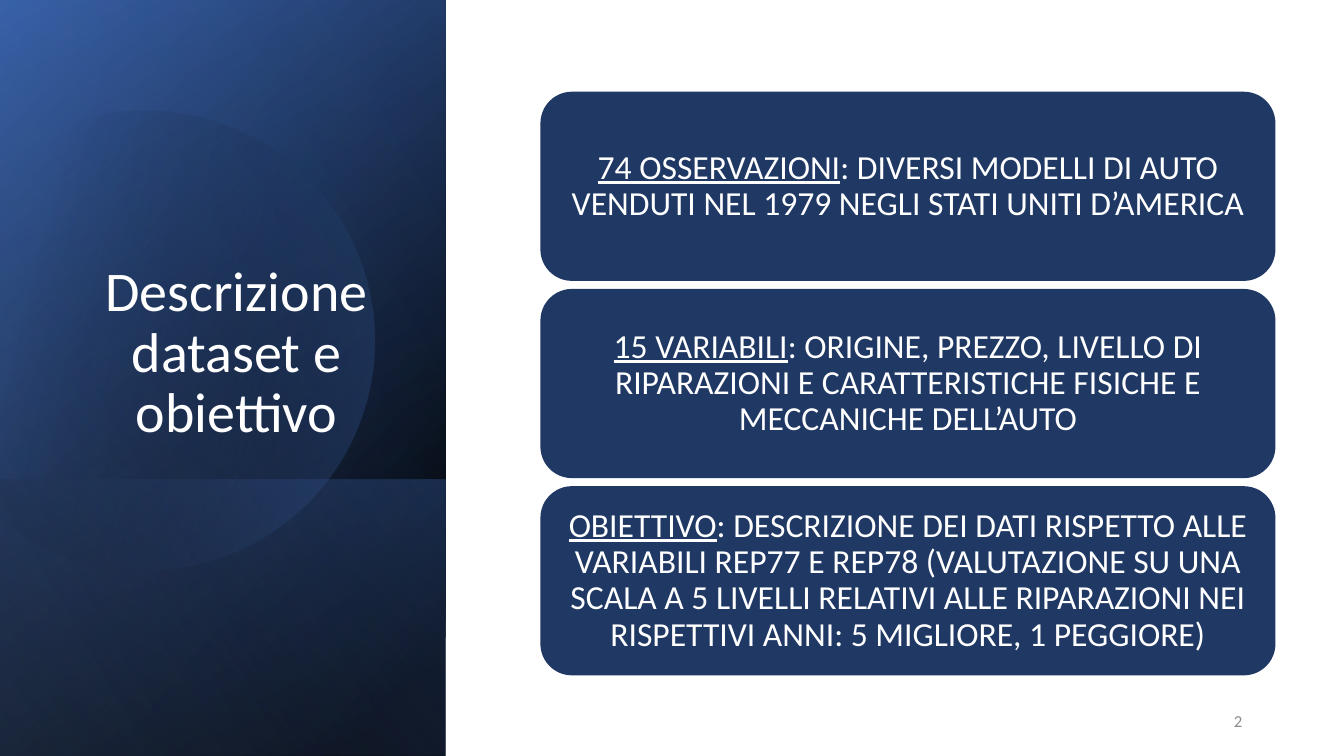
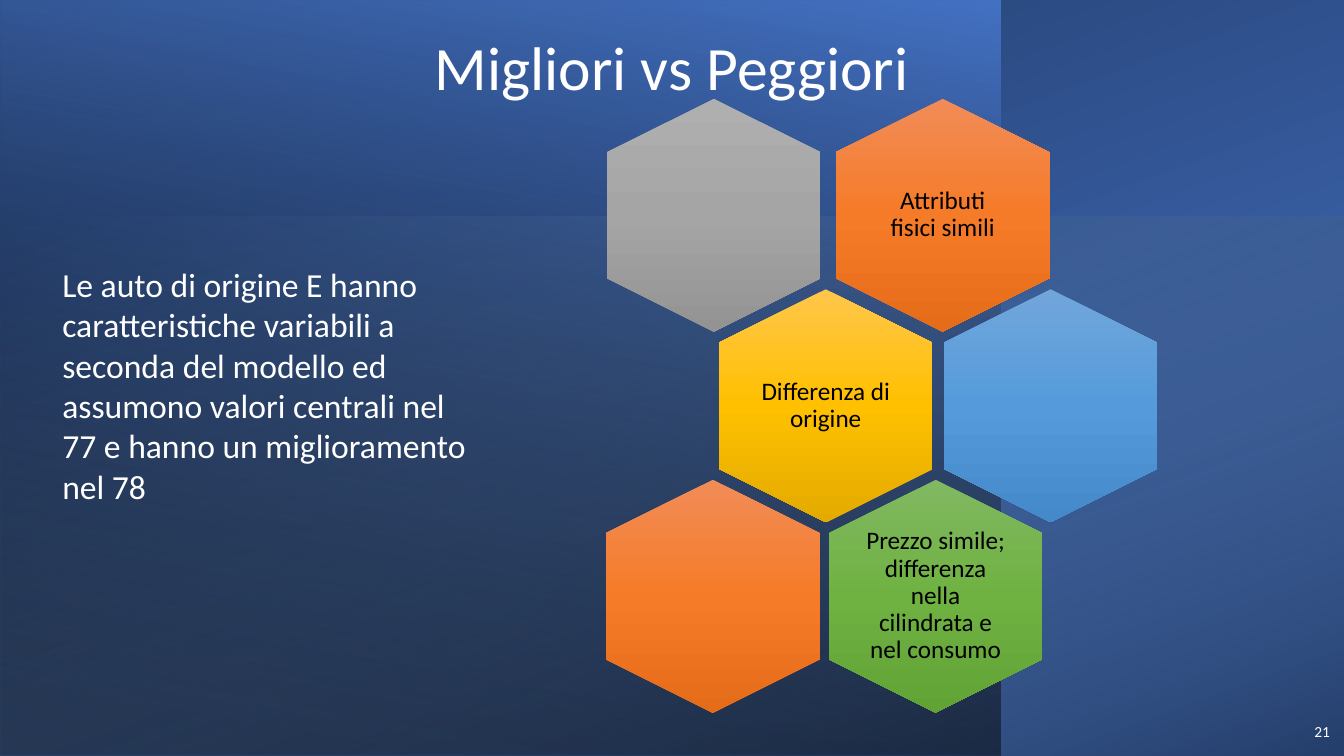
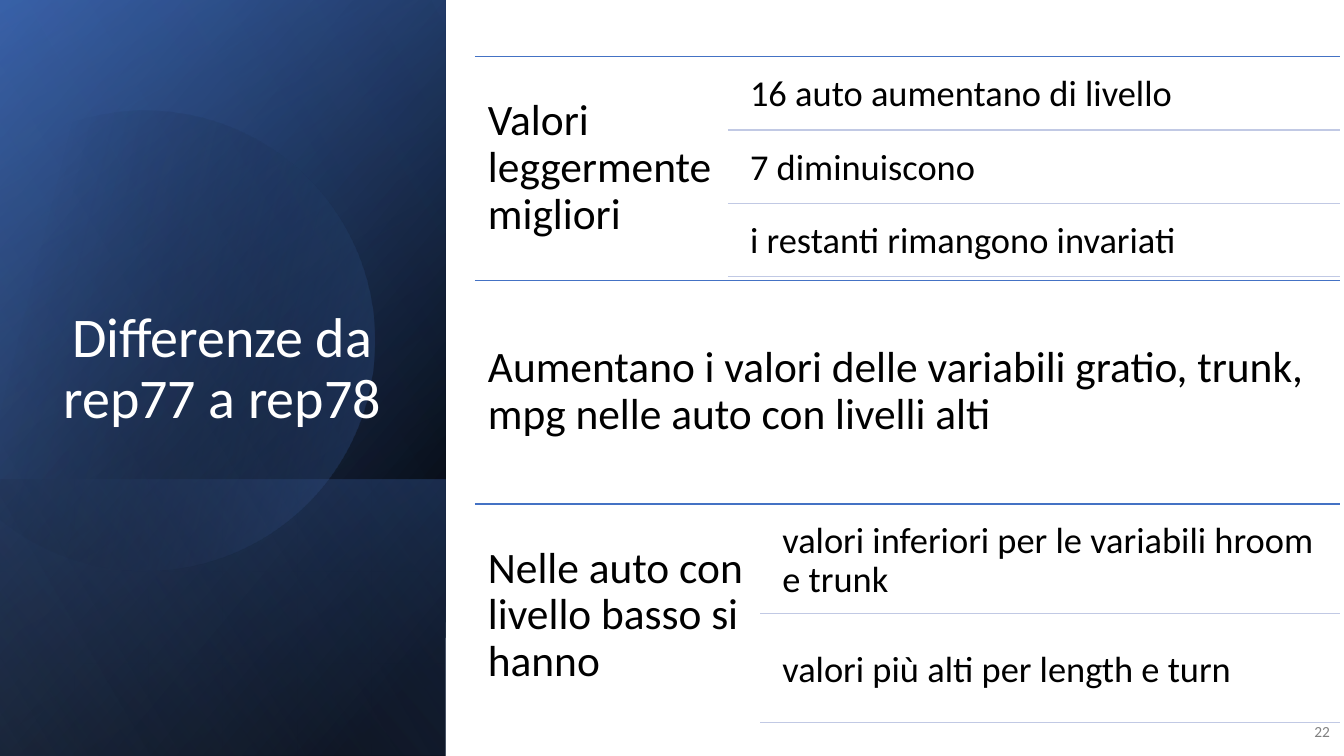
import math

from lxml import etree
from pptx import Presentation
from pptx import util as u
from pptx.dml.color import RGBColor
from pptx.enum import shapes, text
from pptx.oxml.ns import qn

BLACK = RGBColor(0x00, 0x00, 0x00)
WHITE = RGBColor(0xFF, 0xFF, 0xFF)
GRAY = RGBColor(0x80, 0x80, 0x80)
LIGHT_GRAY = RGBColor(0x8C, 0x8C, 0x8C)
BLUE = RGBColor(0x44, 0x72, 0xC4)
MID_BLUE = RGBColor(0x2F, 0x55, 0x97)
NAVY = RGBColor(0x20, 0x38, 0x64)
PALE_BLUE = RGBColor(0x8F, 0xAA, 0xDC)
SKY = RGBColor(0x9D, 0xC3, 0xE6)
RULE_BLUE = RGBColor(0xC1, 0xC9, 0xE4)

# Top, middle and bottom tone of each hexagon
ORANGE_TONES = [RGBColor(0xF1, 0x8C, 0x57), RGBColor(0xF6, 0x7B, 0x28), RGBColor(0xE5, 0x6C, 0x19)]
GRAY_TONES = [RGBColor(0xAF, 0xAF, 0xAF), RGBColor(0xA5, 0xA5, 0xA5), RGBColor(0x93, 0x93, 0x93)]
GOLD_TONES = [RGBColor(0xFF, 0xC6, 0x4B), RGBColor(0xFF, 0xC0, 0x00), RGBColor(0xE3, 0xAB, 0x00)]
AZURE_TONES = [RGBColor(0x71, 0xA6, 0xDB), RGBColor(0x55, 0x9B, 0xDB), RGBColor(0x44, 0x8A, 0xCA)]
GREEN_TONES = [RGBColor(0x81, 0xB8, 0x61), RGBColor(0x6F, 0xB2, 0x42), RGBColor(0x62, 0xA3, 0x36)]

FONT = "Calibri"
W, H = 13.33, 7.5
PANEL_W = 4.42
CORNER_NUMBER = (12.8, 7.06, 0.49, 0.4)

LEFT, CENTER, RIGHT = text.PP_ALIGN.LEFT, text.PP_ALIGN.CENTER, text.PP_ALIGN.RIGHT
TOP, MIDDLE, BOTTOM = text.MSO_ANCHOR.TOP, text.MSO_ANCHOR.MIDDLE, text.MSO_ANCHOR.BOTTOM
SHAPE = shapes.MSO_SHAPE


def inches(box):
    return [u.Inches(length) for length in box]


def put_text(shape, words, size=24, color=WHITE, align=LEFT, anchor=MIDDLE,
             spacing=0.9, insets=(0.1, 0.05), lead=""):
    """Fill a shape with one paragraph, opened by an underlined lead if given."""
    frame = shape.text_frame
    frame.word_wrap = True
    frame.vertical_anchor = anchor
    frame.margin_left = frame.margin_right = u.Inches(insets[0])
    frame.margin_top = frame.margin_bottom = u.Inches(insets[1])
    paragraph = frame.paragraphs[0]
    paragraph.alignment = align
    paragraph.line_spacing = spacing
    for part, underlined in ((lead, True), (words, False)):
        if part:
            run = paragraph.add_run()
            run.text = part
            run.font.name = FONT
            run.font.size = u.Pt(size)
            run.font.color.rgb = color
            run.font.underline = underlined


def add_text(slide, box, words, **style):
    put_text(slide.shapes.add_textbox(*inches(box)), words, **style)


def add_plain(slide, kind, box):
    shape = slide.shapes.add_shape(kind, *inches(box))
    shape.shadow.inherit = False
    shape.line.fill.background()
    return shape


def add_solid(slide, kind, box, color):
    shape = add_plain(slide, kind, box)
    shape.fill.solid()
    shape.fill.fore_color.rgb = color
    return shape


def set_gradient(shape, stops, angle):
    """Stops are (position %, colour, opacity %); the angle runs clockwise."""
    shape.fill.gradient()
    shape.fill.gradient_angle = 360 - angle
    stop_list = shape.element.spPr.find(qn("a:gradFill")).find(qn("a:gsLst"))
    for stop in list(stop_list):
        stop_list.remove(stop)
    for position, color, opacity in stops:
        stop = etree.SubElement(stop_list, qn("a:gs"), pos=str(position * 1000))
        tone = etree.SubElement(stop, qn("a:srgbClr"), val=str(color))
        if opacity < 100:
            etree.SubElement(tone, qn("a:alpha"), val=str(opacity * 1000))


def add_turned(slide, kind, box, turn, stops, angle, flip=False):
    """Place a rotated gradient shape so that it covers the given box."""
    x, y, w, h = box
    if turn % 180:
        x, y, w, h = x + (w - h) / 2, y + (h - w) / 2, h, w
    shape = add_plain(slide, kind, (x, y, w, h))
    shape.rotation = turn
    if flip:
        shape.element.spPr.get_or_add_xfrm().set("flipH", "1")
    set_gradient(shape, stops, angle)


def add_rule(slide, x1, x2, y, color):
    rule = slide.shapes.add_connector(
        shapes.MSO_CONNECTOR.STRAIGHT, *inches((x1, y, x2, y)))
    rule.line.color.rgb = color
    rule.line.width = u.Pt(1)
    etree.SubElement(rule.element.spPr, qn("a:effectLst"))


def add_disc(slide, center_x, center_y, radius):
    """Translucent disc cut by a chord on its left side."""
    degrees = [-118, -90, 0, 90, 150]
    points = [(u.Inches(center_x + radius * math.cos(math.radians(degree))),
               u.Inches(center_y + radius * math.sin(math.radians(degree))))
              for degree in degrees]
    builder = slide.shapes.build_freeform(*points[0], scale=1.0)
    builder.add_line_segments(points[1:], close=True)
    disc = builder.convert_to_shape()
    # Bend each side but the closing chord into an arc
    sides = list(disc.element.spPr.iter(qn("a:lnTo")))
    for side, start, end in zip(sides, degrees, degrees[1:]):
        arc = etree.Element(qn("a:arcTo"), wR=str(u.Inches(radius)), hR=str(u.Inches(radius)),
                            stAng=str(start % 360 * 60000), swAng=str((end - start) * 60000))
        side.getparent().replace(side, arc)
    disc.shadow.inherit = False
    disc.line.fill.background()
    disc.rotation = -16.1
    set_gradient(disc, [(29, BLACK, 0), (100, BLUE, 43)], 30)


def side_panel(slide, title, title_box):
    panel = (0, 0, PANEL_W, H)
    foot = (0, H - 2.74, PANEL_W, 2.74)
    layers = [
        (panel, [(8, BLACK, 100), (100, MID_BLUE, 100)], 50),
        (panel, [(0, BLACK, 0), (99, BLUE, 46)], 30),
        (foot, [(2, BLUE, 29), (100, BLACK, 30)], 130),
    ]
    for box, stops, angle in layers:
        add_turned(slide, SHAPE.RECTANGLE, box, 90, stops, angle, flip=True)
    add_disc(slide, 1.43, 3.34, 2.28)
    add_turned(slide, SHAPE.RECTANGLE, panel, 90,
               [(0, BLACK, 0), (99, PALE_BLUE, 11)], 120, flip=True)
    add_text(slide, title_box, title, size=40, align=CENTER, anchor=BOTTOM)


def full_backdrop(slide):
    layers = [
        ((0, 0, W, H), 270, [(8, BLUE, 100), (100, NAVY, 100)], 200),
        ((0, 0, 9.92, H), 180, [(8, BLACK, 52), (100, BLUE, 100)], 80),
        ((0, 2.15, W, H - 2.15), 270, [(0, SKY, 0), (100, BLACK, 46)], 20),
    ]
    for box, turn, stops, angle in layers:
        add_turned(slide, SHAPE.RECTANGLE, box, turn, stops, angle, flip=True)


def page_number(slide, number, box=CORNER_NUMBER, size=11, color=GRAY):
    add_text(slide, box, number, size=size, color=color, align=RIGHT, spacing=1.0)


def card_stack(slide, box, cards, gap=0.08):
    x, y, w, h = box
    card_h = (h - gap * (len(cards) - 1)) / len(cards)
    for row, (lead, words) in enumerate(cards):
        card = add_solid(slide, SHAPE.ROUNDED_RECTANGLE,
                         (x, y + row * (card_h + gap), w, card_h), NAVY)
        put_text(card, words, lead=lead, align=CENTER, insets=(0.1, 0.1))


def honeycomb(slide, top, rows, cell_w=2.12, cell_h=2.31, row_pitch=1.89):
    """Each row holds its left edge, column pitch and (tones, words, side inset)."""
    label_w, label_h = 1.44, 1.57
    for row, (left, pitch, cells) in enumerate(rows):
        y = top + row * row_pitch
        for column, (tones, words, inset) in enumerate(cells):
            x = left + column * pitch
            stops = [(50 * i, tone, 100) for i, tone in enumerate(tones)]
            add_turned(slide, SHAPE.HEXAGON, (x, y, cell_w, cell_h), 90, stops, 0)
            if words:
                label = (x + (cell_w - label_w) / 2, y + (cell_h - label_h) / 2,
                         label_w, label_h)
                add_text(slide, label, words, size=18, color=BLACK,
                         align=CENTER, insets=(inset, 0.07))


def outline_rows(slide, box, rows):
    """Each row holds its heading, the heading's width and its detail lines."""
    x, y, w, h = box
    row_h = h / len(rows)
    right = x + w
    for row, (heading, heading_w, details) in enumerate(rows):
        row_y = y + row * row_h
        add_rule(slide, x, right, row_y, BLUE)
        add_text(slide, (x, row_y, heading_w, row_h), heading,
                 size=31, color=BLACK, insets=(0.13, 0.13))
        # Gaps above, between and below the details are 5 % of a detail
        detail_h = row_h / (len(details) * 1.05 + 0.05)
        detail_x = x + heading_w
        for index, detail in enumerate(details):
            detail_y = row_y + detail_h * (0.05 + 1.05 * index)
            add_text(slide, (detail_x + 0.11, detail_y, right - detail_x - 0.11, detail_h),
                     detail, size=26, color=BLACK, insets=(0.11, 0.11))
            add_rule(slide, detail_x, right, detail_y + detail_h, RULE_BLUE)


def dataset_slide(slide):
    side_panel(slide, "Descrizione dataset e obiettivo", (0.64, 1.84, 3.41, 2.62))
    card_stack(slide, (5.36, 0.91, 7.29, 5.79), [
        ("74 OSSERVAZIONI",
         ": DIVERSI MODELLI DI AUTO VENDUTI NEL 1979 NEGLI STATI UNITI D’AMERICA"),
        ("15 VARIABILI",
         ": ORIGINE, PREZZO, LIVELLO DI RIPARAZIONI E CARATTERISTICHE FISICHE E "
         "MECCANICHE DELL’AUTO"),
        ("OBIETTIVO",
         ": DESCRIZIONE DEI DATI RISPETTO ALLE VARIABILI REP77 E REP78 (VALUTAZIONE "
         "SU UNA SCALA A 5 LIVELLI RELATIVI ALLE RIPARAZIONI NEI RISPETTIVI ANNI: "
         "5 MIGLIORE, 1 PEGGIORE)"),
    ])
    page_number(slide, "2", box=(9.42, 6.95, 3, 0.4), size=12, color=LIGHT_GRAY)


def comparison_slide(slide):
    full_backdrop(slide)
    page_number(slide, "21", color=WHITE)
    add_text(slide, (0, 0.25, W, 0.9), "Migliori vs Peggiori", size=44, align=CENTER)
    honeycomb(slide, 0.98, [
        (6.02, 2.27, [(GRAY_TONES, "", 0), (ORANGE_TONES, "Attributi fisici simili", 0.07)]),
        (7.13, 2.23, [(GOLD_TONES, "Differenza di origine", 0.07), (AZURE_TONES, "", 0)]),
        (6.01, 2.21, [(ORANGE_TONES, "", 0),
                      (GREEN_TONES,
                       "Prezzo simile; differenza nella cilindrata e nel consumo", 0)]),
    ])
    add_text(slide, (0.52, 2.57, 4.2, 2.93),
             "Le auto di origine E hanno caratteristiche variabili a seconda del modello "
             "ed assumono valori centrali nel 77 e hanno un miglioramento nel 78",
             anchor=TOP, spacing=1.0)


def differences_slide(slide):
    add_solid(slide, SHAPE.RECTANGLE, (0, 0, W, H), WHITE)
    side_panel(slide, "Differenze da rep77 a rep78", (0.44, 2.97, 3.53, 1.35))
    outline_rows(slide, (4.71, 0.56, 8.58, 6.66), [
        ("Valori leggermente migliori", 2.51,
         ["16 auto aumentano di livello", "7 diminuiscono", "i restanti rimangono invariati"]),
        ("Aumentano i valori delle variabili gratio, trunk, mpg nelle auto con livelli alti",
         8.58, []),
        ("Nelle auto con livello basso si hanno", 2.83,
         ["valori inferiori per le variabili hroom e trunk",
          "valori più alti per length e turn"]),
    ])
    page_number(slide, "22")


def main():
    deck = Presentation()
    deck.slide_width, deck.slide_height = inches((W, H))
    for build in (dataset_slide, comparison_slide, differences_slide):
        build(deck.slides.add_slide(deck.slide_layouts[6]))
    deck.save("out.pptx")


if __name__ == "__main__":
    main()
